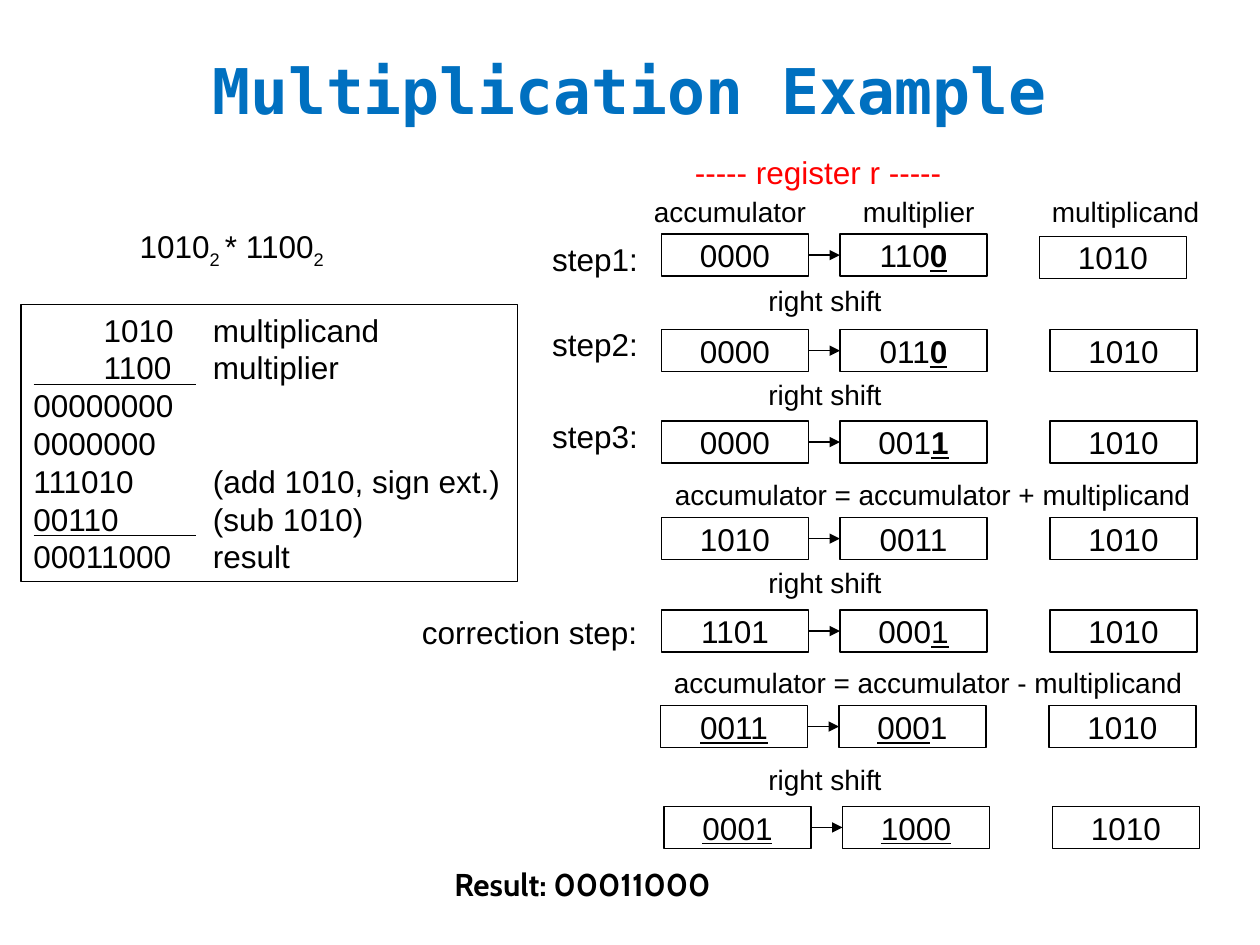
from dataclasses import dataclass
from pptx import Presentation, util as u
from pptx.dml.color import RGBColor
from pptx.enum import shapes, text
from pptx.oxml.ns import qn
from lxml import etree

UNIT = u.Inches(10) // 120


@dataclass(frozen=True)
class Theme:
    """Colours, fonts and type sizes."""
    ink: str = "000000"
    blue: str = "0070C0"
    red: str = "FF0000"
    sans: str = "Arial"
    mono: str = "DejaVu Sans Mono"
    cabin: str = "Cabin"
    head: int = 36
    main: int = 18
    note: int = 16
    line: float = 0.75


T = Theme()


def grid(*cells):
    """Turn columns and rows of the 120 by 90 grid into lengths."""
    return [u.Emu(round(c * UNIT)) for c in cells]


def place(item, box):
    """Move an item into a box of the grid."""
    item.left, item.top, item.width, item.height = grid(*box)


def style(font, size, color=T.ink, name=T.sans, bold=None):
    """Set size, colour and face of a font."""
    font.size, font.name, font.bold = u.Pt(size), name, bold
    font.color.rgb = RGBColor.from_string(color)


def write(para, runs, size=T.main):
    """Fill a paragraph with (words, marks) runs: b bold, u underline, s subscript."""
    for words, marks in runs:
        run = para.add_run()
        run.text = words
        style(run.font, size, bold="b" in marks or None)
        run.font.underline = "u" in marks or None
        if "s" in marks:
            run.font._element.set("baseline", "-25000")


def label(slide, box, words, size=T.main, **look):
    """Add one line of free text."""
    item = slide.shapes.add_textbox(*grid(*box))
    frame = item.text_frame
    frame.text = words
    frame.word_wrap = False
    frame.auto_size = text.MSO_AUTO_SIZE.SHAPE_TO_FIT_TEXT
    style(frame.paragraphs[0].runs[0].font, size, **look)


def pen(line):
    """Give a line its colour and width."""
    line.color.rgb = RGBColor.from_string(T.ink)
    line.width = u.Pt(T.line)


def frame_box(slide, box):
    """Add an unfilled rectangle with a thin line."""
    item = slide.shapes.add_shape(shapes.MSO_SHAPE.RECTANGLE, *grid(*box))
    item.shadow.inherit = False
    item.fill.background()
    pen(item.line)
    return item


def cell(slide, box, runs):
    """Add a register cell with centred digits."""
    item = frame_box(slide, box)
    frame = item.text_frame
    frame.word_wrap = False
    frame.vertical_anchor = text.MSO_ANCHOR.MIDDLE
    para = frame.paragraphs[0]
    para.alignment = text.PP_ALIGN.CENTER
    write(para, runs)
    return item


def rule(slide, ends):
    """Add a plain straight line between two points of the grid."""
    link = slide.shapes.add_connector(shapes.MSO_CONNECTOR.STRAIGHT, *grid(*ends))
    pen(link.line)
    etree.SubElement(link._element.spPr, qn("a:effectLst"))
    return link


def arrow(slide, start, end):
    """Join the right side of one cell to the left side of the next."""
    link = rule(slide, (0, 0, 0, 0))
    link.begin_connect(start, 3)
    link.end_connect(end, 1)
    etree.SubElement(link.line._get_or_add_ln(), qn("a:tailEnd"), type="triangle")


def title(slide, box):
    """Fill the title placeholder."""
    item = slide.shapes.title
    place(item, box)
    frame = item.text_frame
    frame.text = "Multiplication Example"
    frame.auto_size = text.MSO_AUTO_SIZE.NONE
    frame.vertical_anchor = text.MSO_ANCHOR.MIDDLE
    para = frame.paragraphs[0]
    para.alignment = text.PP_ALIGN.CENTER
    style(para.runs[0].font, T.head, T.blue, T.mono, True)


def problem(slide, box):
    """Fill the body placeholder with the product to work out."""
    item = slide.placeholders[1]
    place(item, box)
    item.text_frame.auto_size = text.MSO_AUTO_SIZE.NONE
    para = item.text_frame.paragraphs[0]
    props = para._p.get_or_add_pPr()
    props.set("marL", str(grid(9.1)[0]))
    props.set("indent", "0")
    etree.SubElement(props, qn("a:buNone"))
    para.space_before = u.Pt(0)
    write(para, [("1010", ""), ("2 ", "s"), ("* 1100", ""), ("2", "s")])


def working(slide, box):
    """Add the long multiplication, set out on tab stops, with its two sum lines."""
    rows = ["\t1010\tmultiplicand", "\t1100\tmultiplier", "00000000", "0000000",
            "111010\t(add 1010, sign ext.)", "00110\t(sub 1010)", "00011000\tresult"]
    frame = frame_box(slide, box).text_frame
    frame.word_wrap = True
    frame.vertical_anchor = text.MSO_ANCHOR.TOP
    for i, words in enumerate(rows):
        para = frame.add_paragraph() if i else frame.paragraphs[0]
        tabs = etree.SubElement(para._p.get_or_add_pPr(), qn("a:tabLst"))
        for stop in grid(6.7, 17.1):
            etree.SubElement(tabs, qn("a:tab"), pos=str(stop), algn="l")
        para.alignment = text.PP_ALIGN.LEFT
        write(para, [(words, "")])
    left, top = box[:2]
    for drop in (7.6, 22):
        rule(slide, (left + 1.2, top + drop, left + 16.7, top + drop))


def steps(slide, box):
    """Add the register table: headings, rows of cells, step names and notes."""
    left, top, wide, high = box
    label(slide, (left + 2, top - 8.3, 25.9, 4.8), "----- register r -----", color=T.red)
    heads = [("accumulator", -1.9, 16.9), ("multiplier", 18, 13), ("multiplicand", 36, 16.8)]
    for words, x, w in heads:
        label(slide, (left + x, top - 4.4, w, 4.4), words, T.note)
    shift = ("right shift", 9, 13.2)
    add = ("accumulator = accumulator + multiplicand", 0.1, 51.5)
    sub = ("accumulator = accumulator - multiplicand", 0, 50.8)
    rows = [
        (0, 0, [("0000", "")], [("110", ""), ("0", "bu")], shift, 4.1),
        (9.1, 0, [("0000", "")], [("011", ""), ("0", "bu")], shift, 4),
        (17.8, 0, [("0000", "")], [("001", ""), ("1", "bu")], add, 4.8),
        (27, 0, [("1010", "")], [("0011", "")], shift, 4),
        (35.8, 0, [("1101", "")], [("000", ""), ("1", "u")], sub, 4.7),
        (44.9, -0.1, [("0011", "u")], [("000", "u"), ("1", "")], shift, 4.8),
        (54.5, 0.24, [("0001", "u")], [("1000", "u")], None, 0),
    ]
    for y, dx, acc, mult, note, drop in rows:
        x, y = left + dx, top + y
        start = cell(slide, (x, y, wide, high), acc)
        end = cell(slide, (x + 17, y, wide, high), mult)
        first = y == top
        cand = (x + 37 - first, y + 0.2 * first, wide, high)
        cell(slide, cand, [("1010", "")])
        arrow(slide, start, end)
        if note:
            words, nx, w = note
            label(slide, (left + nx, y + drop, w, 4.4), words, T.note)
    names = [("step1:", 0, 11), ("step2:", 8.1, 11), ("step3:", 16.8, 11),
             ("correction step:", 35.5, 23.4)]
    for words, y, w in names:
        label(slide, (left - 0.6 - w, top + y, w, 4.8), words)


def main():
    """Build and save the slide."""
    deck = Presentation()
    deck.slide_width, deck.slide_height = grid(120, 90)
    slide = deck.slides.add_slide(deck.slide_layouts[1])
    title(slide, (6, 3.4, 107.9, 10.2))
    problem(slide, (3, 21, 43, 59.4))
    steps(slide, (63, 22.3, 14, 4))
    working(slide, (2, 29, 47.3, 26.4))
    label(slide, (42.1, 81.8, 27.1, 4.8), "Result: 00011000", name=T.cabin, bold=True)
    deck.save("out.pptx")


if __name__ == "__main__":
    main()
